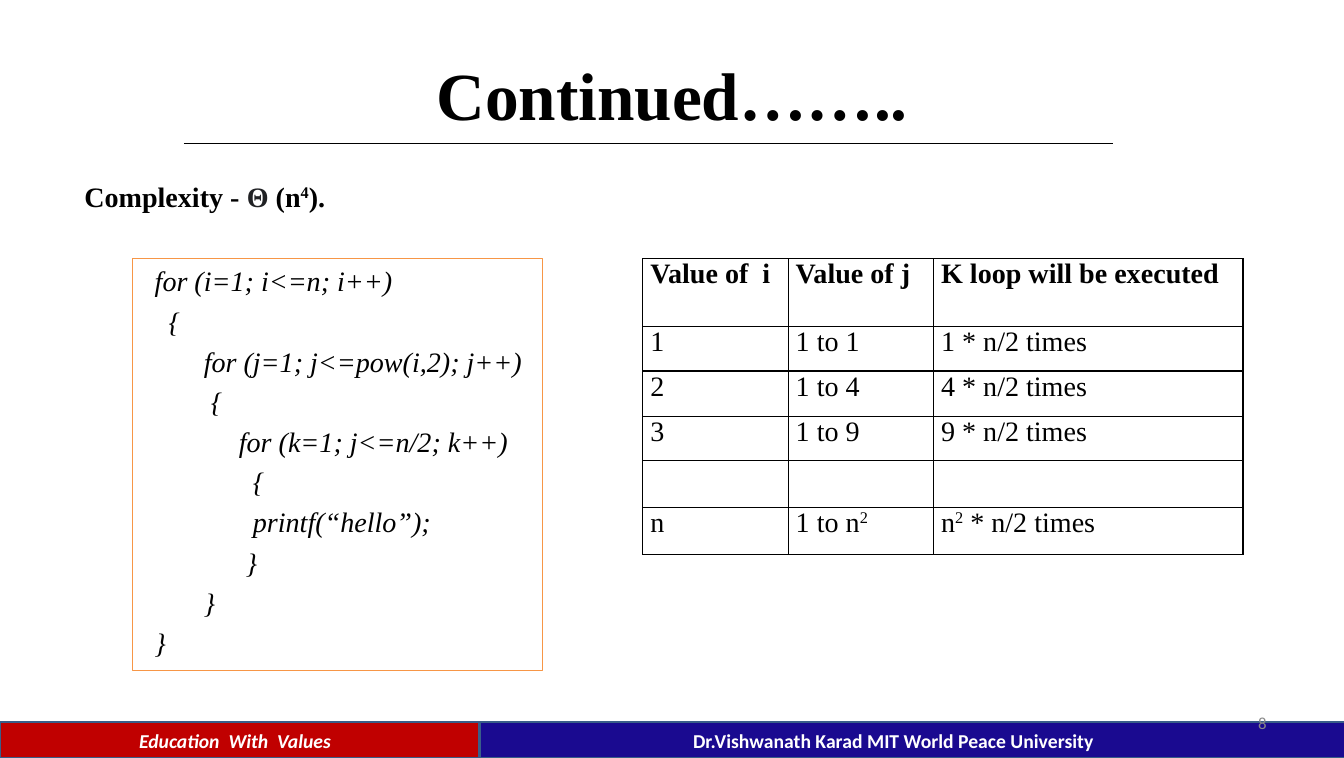
from lxml import etree
from pptx import Presentation
from pptx.dml.color import RGBColor
from pptx.enum.shapes import MSO_CONNECTOR, MSO_SHAPE
from pptx.enum.text import MSO_ANCHOR, MSO_AUTO_SIZE, PP_ALIGN
from pptx.oxml.ns import qn
from pptx.util import Pt

SERIF, SANS = "Times New Roman", "Calibri"
BLACK, WHITE = "000000", "FFFFFF"
CODE = [
    "for (i=1; i<=n; i++)",
    "  {",
    "       for (j=1; j<=pow(i,2); j++)",
    "        {",
    "            for (k=1; j<=n/2; k++)",
    "              {",
    "              printf(“hello”);",
    "             }",
    "       }",
    "}",
]
SQUARE = ("2", {"sup": True})
LOOP_ROWS = [
    ["Value of  i", "Value of j", "K loop will be executed"],
    ["1", "1 to 1", "1 * n/2 times"],
    ["2", "1 to 4", "4 * n/2 times"],
    ["3", "1 to 9", "9 * n/2 times"],
    ["", "", ""],
    ["n", ["1 to n", SQUARE], ["n", SQUARE, " * n/2 times"]],
]
COLUMN_WIDTHS = [103.6, 103.6, 220.5]
ROW_HEIGHTS = [48.5, 31.5, 32.5, 31.5, 33, 33.5]


def rgb(color):
    return RGBColor.from_string(color)


def place(shape, left, top, width, height):
    shape.left, shape.top = Pt(left), Pt(top)
    shape.width, shape.height = Pt(width), Pt(height)


def write(paragraph, content, size=20, font=SERIF, color=BLACK, bold=False,
          italic=False, align=PP_ALIGN.LEFT, before=0, indent=0):
    """Content is a string, or a list of strings and (string, format) pairs."""
    properties = paragraph._p.get_or_add_pPr()
    properties.set("marL", str(Pt(indent)))
    properties.set("indent", "0")
    etree.SubElement(properties, qn("a:buNone"))
    paragraph.alignment = align
    paragraph.space_before = Pt(before)
    paragraph.font.size = Pt(size)
    for part in [content] if isinstance(content, str) else content:
        text, extra = (part, {}) if isinstance(part, str) else part
        if not text:
            continue
        run = paragraph.add_run()
        run.text = text
        run.font.name, run.font.size = font, Pt(size)
        run.font.bold, run.font.italic = bold, italic
        run.font.color.rgb = rgb(extra.get("color", color))
        if extra.get("sup"):
            run.font._element.set("baseline", "30000")


def add_label(slide, left, top, width, height, content, wrap=False,
              anchor=MSO_ANCHOR.TOP, **text_format):
    box = slide.shapes.add_textbox(Pt(left), Pt(top), Pt(width), Pt(height))
    box.text_frame.word_wrap = wrap
    box.text_frame.vertical_anchor = anchor
    write(box.text_frame.paragraphs[0], content, **text_format)


def add_band(slide, left, width, color):
    band = slide.shapes.add_shape(MSO_SHAPE.RECTANGLE, Pt(left), Pt(514.4),
                                  Pt(width), Pt(25.6))
    band.shadow.inherit = False
    band.fill.solid()
    band.fill.fore_color.rgb = rgb(color)
    band.line.color.rgb = rgb("395E89")
    band.line.width = Pt(2)


def add_rule(slide, left, right, y):
    rule = slide.shapes.add_connector(MSO_CONNECTOR.STRAIGHT, Pt(left), Pt(y),
                                      Pt(right), Pt(y))
    rule.line.color.rgb = rgb(BLACK)
    rule.line.width = Pt(0.75)
    etree.SubElement(rule._element.spPr, qn("a:effectLst"))


def add_borders(cell, color, width):
    properties = cell._tc.get_or_add_tcPr()
    for position, side in enumerate(("lnL", "lnR", "lnT", "lnB")):
        line = etree.Element(qn(f"a:{side}"), w=str(Pt(width)))
        fill = etree.SubElement(line, qn("a:solidFill"))
        etree.SubElement(fill, qn("a:srgbClr"), val=color)
        properties.insert(position, line)


def add_loop_table(slide, left, top):
    table = slide.shapes.add_table(
        len(LOOP_ROWS), len(COLUMN_WIDTHS), Pt(left), Pt(top),
        Pt(sum(COLUMN_WIDTHS)), Pt(sum(ROW_HEIGHTS))).table
    table.first_row = table.horz_banding = False
    for column, width in zip(table.columns, COLUMN_WIDTHS):
        column.width = Pt(width)
    for r, (contents, height) in enumerate(zip(LOOP_ROWS, ROW_HEIGHTS)):
        table.rows[r].height = Pt(height)
        for c, content in enumerate(contents):
            cell = table.cell(r, c)
            cell.margin_left = cell.margin_right = Pt(5.4)
            cell.margin_top = cell.margin_bottom = 0
            cell.fill.background()
            add_borders(cell, BLACK, 1)
            write(cell.text_frame.paragraphs[0], content, bold=r == 0,
                  align=PP_ALIGN.JUSTIFY)


def fill_title(title):
    place(title, 48, 21.6, 862, 90)
    title.text_frame.vertical_anchor = MSO_ANCHOR.MIDDLE
    write(title.text_frame.paragraphs[0], "Continued……..", size=48, bold=True,
          align=PP_ALIGN.CENTER)


def fill_code(body):
    place(body, 94.4, 184.4, 292.3, 293)
    body.line.color.rgb = rgb("F79646")
    body.line.width = Pt(0.75)
    frame = body.text_frame
    frame.auto_size = MSO_AUTO_SIZE.NONE
    for number, line in enumerate(CODE):
        paragraph = frame.add_paragraph() if number else frame.paragraphs[0]
        write(paragraph, line, italic=True, align=PP_ALIGN.JUSTIFY,
              before=4.6 if number else 0, indent=8.64)


def main():
    deck = Presentation()
    deck.slide_width, deck.slide_height = Pt(957.6), Pt(540)
    slide = deck.slides.add_slide(deck.slide_layouts[1])

    # Footer bands and title rule
    add_band(slide, 0, 960, "C00000")
    add_rule(slide, 131, 793, 102)
    add_band(slide, 341.6, 617, "1A0A90")
    footer = dict(size=14, font=SANS, color=WHITE, bold=True)
    add_label(slide, 92, 515.5, 153, 24.5, "Education  With  Values",
              italic=True, **footer)
    add_label(slide, 486.7, 515.5, 306, 24.5,
              "Dr.Vishwanath Karad MIT World Peace University", **footer)

    # Title, complexity and code
    fill_title(slide.shapes.title)
    add_label(slide, 53, 124, 188, 31.5,
              ["Complexity - ", ("Θ", {"color": "202124"}), " (n",
               ("4", {"sup": True}), ")."], bold=True)
    fill_code(slide.placeholders[1])

    # Loop counts and slide number
    add_loop_table(slide, 458, 184.4)
    add_label(slide, 686, 500.5, 223.5, 29, "8", wrap=True,
              anchor=MSO_ANCHOR.MIDDLE, size=12, font=SANS, color="888888",
              align=PP_ALIGN.RIGHT)

    deck.save("out.pptx")


if __name__ == "__main__":
    main()
